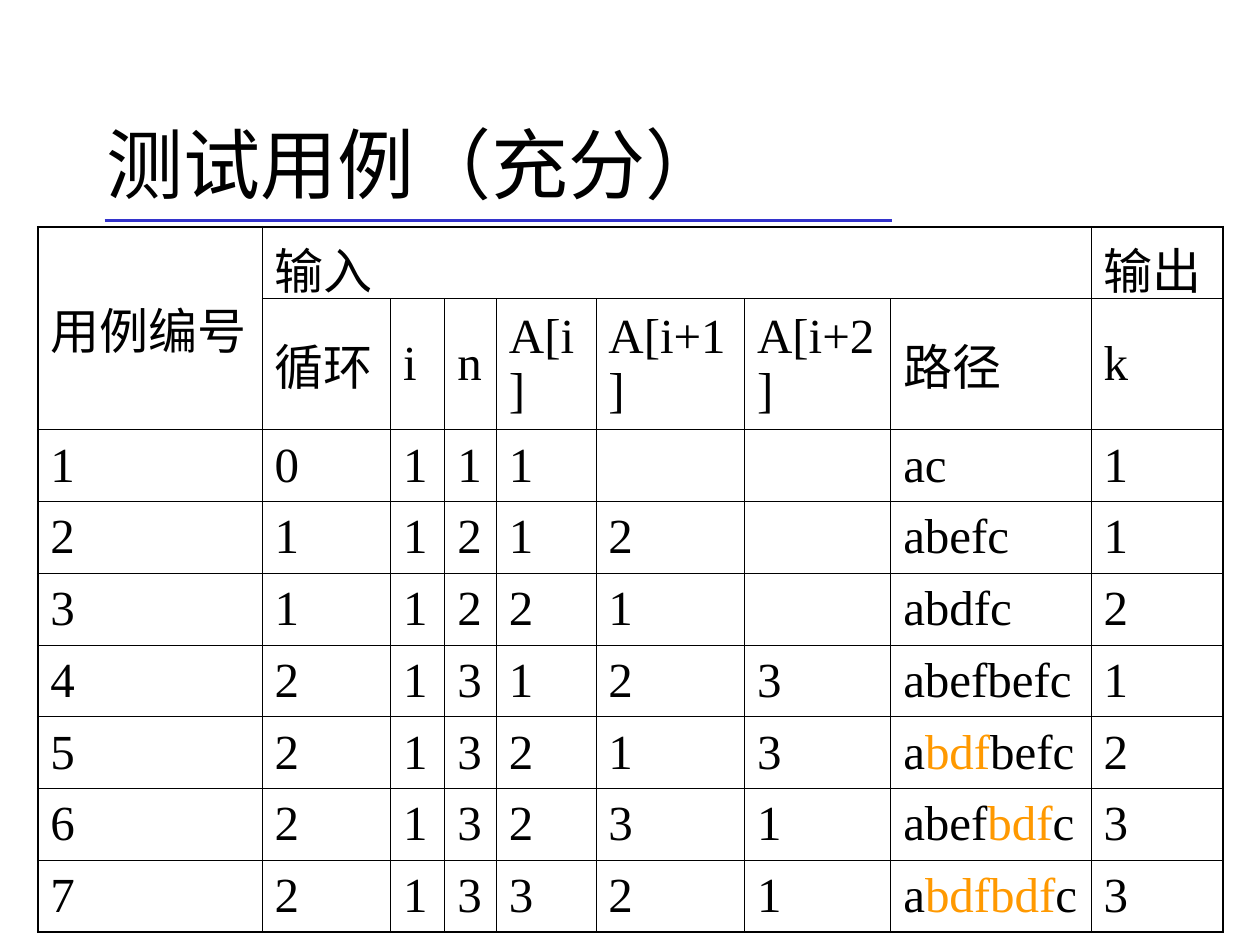
"""Build a slide with a table of test cases for a loop program."""
from typing import NamedTuple

from lxml import etree
from pptx import Presentation
from pptx import util as u
from pptx.dml.color import RGBColor
from pptx.enum import shapes, text
from pptx.oxml.ns import qn

WIDTH, HEIGHT = u.Inches(10), u.Inches(7.5)
BLACK, ORANGE, BLUE = "000000", "FF9900", "3333CC"
LATIN, CHINESE = "Times New Roman", "Noto Sans CJK SC"
THIN, THICK = 0.45, 1.08
COLUMNS = (1.78, 1.02, 0.43, 0.41, 0.79, 1.18, 1.16, 1.59, 1.05)
ROWS = (0.57, 1.04) + (0.57,) * 7


class Piece(NamedTuple):
    """A stretch of text in one colour."""
    words: str
    color: str = BLACK


class TestCase(NamedTuple):
    """One test case: loop count, inputs, path and output."""
    loops: int
    n: int
    values: tuple[int, ...]
    route: tuple[Piece, ...]
    k: int


CASES = (
    TestCase(0, 1, (1,), (Piece("ac"),), 1),
    TestCase(1, 2, (1, 2), (Piece("abefc"),), 1),
    TestCase(1, 2, (2, 1), (Piece("abdfc"),), 2),
    TestCase(2, 3, (1, 2, 3), (Piece("abefbefc"),), 1),
    TestCase(2, 3, (2, 1, 3), (Piece("a"), Piece("bdf", ORANGE), Piece("befc")), 2),
    TestCase(2, 3, (2, 3, 1), (Piece("abef"), Piece("bdf", ORANGE), Piece("c")), 3),
    TestCase(2, 3, (3, 2, 1), (Piece("a"), Piece("bdfbdf", ORANGE), Piece("c")), 3),
)


def rgb(color: str) -> RGBColor:
    """Turn a hex string into a colour."""
    return RGBColor.from_string(color)


def add_runs(paragraph, pieces: tuple[Piece, ...], size: float, latin: str) -> None:
    """Add each piece of text as a run."""
    for piece in pieces:
        run = paragraph.add_run()
        run.text = piece.words
        run.font.size = u.Pt(size)
        run.font.name = latin
        run.font.color.rgb = rgb(piece.color)
        etree.SubElement(run.font._element, qn("a:ea"), typeface=CHINESE)


def add_border(cell, side: str, points: float) -> None:
    """Draw a solid black line on one side of a cell."""
    properties = cell._tc.get_or_add_tcPr()
    line = etree.SubElement(properties, qn(f"a:ln{side}"), w=str(int(u.Pt(points))))
    fill = etree.SubElement(line, qn("a:solidFill"))
    etree.SubElement(fill, qn("a:srgbClr"), val=BLACK)


def add_title(slide, words: str) -> None:
    """Add the title and the rule below it."""
    box = slide.shapes.add_textbox(
        int(WIDTH * 0.075), int(HEIGHT * 0.09), int(WIDTH * 0.85), int(HEIGHT * 0.165))
    frame = box.text_frame
    frame.word_wrap = True
    frame.vertical_anchor = text.MSO_ANCHOR.MIDDLE
    add_runs(frame.paragraphs[0], (Piece(words),), 44, CHINESE)
    level = u.Inches(1.75)
    rule = slide.shapes.add_connector(
        shapes.MSO_CONNECTOR.STRAIGHT, u.Inches(0.83), level, u.Inches(7.08), level)
    rule.line.color.rgb = rgb(BLUE)
    rule.line.width = u.Pt(2.25)
    etree.SubElement(rule._element.spPr, qn("a:effectLst"))


def case_cells(number: int, case: TestCase) -> list[tuple[Piece, ...]]:
    """Lay out one test case as a row of cells."""
    values = [str(value) for value in case.values]
    values += [""] * (3 - len(values))
    before = [str(number), str(case.loops), "1", str(case.n), *values]
    return [(Piece(words),) if words else () for words in before] + [
        case.route, (Piece(str(case.k)),)]


def header_cells(labels: tuple[str, ...]) -> list[tuple[Piece, ...]]:
    """Lay out labels as a row of cells."""
    return [(Piece(label),) if label else () for label in labels]


def add_case_table(slide) -> None:
    """Add the table of test cases."""
    last_row, last_column = len(ROWS) - 1, len(COLUMNS) - 1
    table = slide.shapes.add_table(
        len(ROWS), len(COLUMNS), u.Inches(0.3), u.Inches(1.8),
        u.Inches(sum(COLUMNS)), u.Inches(sum(ROWS))).table
    table.first_row = table.horz_banding = False
    for column, width in zip(table.columns, COLUMNS):
        column.width = u.Inches(width)
    for row, height in zip(table.rows, ROWS):
        row.height = u.Inches(height)
    content = [
        header_cells(("用例编号", "输入", "", "", "", "", "", "", "输出")),
        header_cells(("", "循环", "i", "n", "A[i]", "A[i+1]", "A[i+2]", "路径", "k")),
    ] + [case_cells(number, case) for number, case in enumerate(CASES, 1)]
    for r, row in enumerate(content):
        for c, pieces in enumerate(row):
            cell = table.cell(r, c)
            cell.vertical_anchor = text.MSO_ANCHOR.MIDDLE
            outer = {"L": c == 0, "R": c == last_column, "T": r == 0, "B": r == last_row}
            for side, is_outer in outer.items():
                add_border(cell, side, THICK if is_outer else THIN)
            cell.fill.background()
            add_runs(cell.text_frame.paragraphs[0], pieces, 28, LATIN)
    table.cell(0, 0).merge(table.cell(1, 0))
    table.cell(0, 1).merge(table.cell(0, last_column - 1))


def main() -> None:
    """Build and save the presentation."""
    presentation = Presentation()
    presentation.slide_width, presentation.slide_height = WIDTH, HEIGHT
    slide = presentation.slides.add_slide(presentation.slide_layouts[6])
    add_title(slide, "测试用例（充分）")
    add_case_table(slide)
    presentation.save("out.pptx")


if __name__ == "__main__":
    main()
